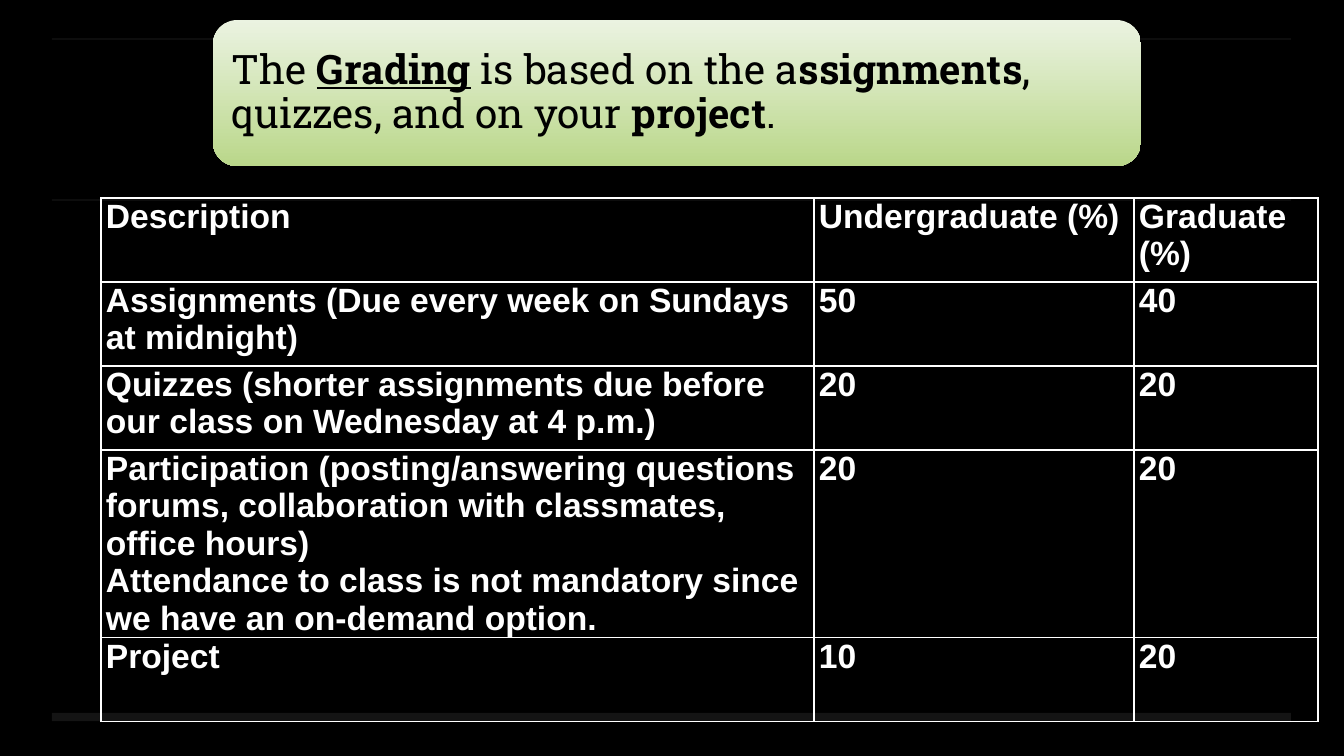
from lxml import etree
from pptx import Presentation
from pptx.dml.color import RGBColor
from pptx.enum.shapes import MSO_CONNECTOR, MSO_SHAPE
from pptx.enum.text import MSO_ANCHOR, MSO_AUTO_SIZE, PP_ALIGN
from pptx.oxml.ns import qn
from pptx.util import Pt

LINE = MSO_CONNECTOR.STRAIGHT
ROUND = MSO_SHAPE.ROUNDED_RECTANGLE
MIDDLE = MSO_ANCHOR.MIDDLE
TOP = MSO_ANCHOR.TOP
FIXED = MSO_AUTO_SIZE.NONE
LEFT = PP_ALIGN.LEFT

BLACK = RGBColor(0x00, 0x00, 0x00)
WHITE = RGBColor(0xFF, 0xFF, 0xFF)
GRAY = RGBColor(0x44, 0x44, 0x44)
PALE = RGBColor(0xEB, 0xF3, 0xE1)
GREEN = RGBColor(0xBA, 0xD7, 0x8A)

TITLE = [
    ("The ", False, False),
    ("Grading", True, True),
    (" is based on the a", False, False),
    ("ssignments", True, False),
    (", quizzes, and on your ", False, False),
    ("project", True, False),
    (".", False, False),
]
GRADES = [
    (["Description"], ["Undergraduate (%)"], ["Graduate (%)"]),
    (["Assignments (Due every week on Sundays at midnight)"], ["50"], ["40"]),
    (["Quizzes (shorter assignments due before our class on Wednesday at 4 p.m.)"],
     ["20"], ["20"]),
    (["Participation (posting/answering questions forums, collaboration with "
      "classmates, office hours)",
      "Attendance to class is not mandatory since we have an on-demand option."],
     ["20"], ["20"]),
    (["Project"], ["10"], ["20"]),
]
RULES = [(200, 1), (717, 6), (39, 1)]
COLS = [713, 320, 184]
ROWS = [84, 84, 84, 188, 84]
CARD = (213, 20, 928, 146)
PAD = 7


def px(n):
    return round(n * 914400 / 100.8)


def box(*sides):
    return [px(n) for n in sides]


def add_run(para, text, font, size, color, bold, under=False):
    run = para.add_run()
    run.text = text
    run.font.name = font
    run.font.size = Pt(size)
    run.font.color.rgb = color
    run.font.bold = bold
    run.font.underline = under


def add_rule(slide, y, width):
    rule = slide.shapes.add_connector(LINE, *box(52, y, 1291, y))
    rule.line.color.rgb = GRAY
    rule.line.width = Pt(width)
    tint = next(rule.element.iter(qn("a:srgbClr")))
    etree.SubElement(tint, qn("a:alpha"), val="30000")
    etree.SubElement(rule.element.spPr, qn("a:effectLst"))


def add_edges(cell):
    props = cell._tc.get_or_add_tcPr()
    for spot, side in enumerate(("lnL", "lnR", "lnT", "lnB")):
        edge = etree.Element(qn("a:" + side), w=str(Pt(1)))
        fill = etree.SubElement(edge, qn("a:solidFill"))
        etree.SubElement(fill, qn("a:srgbClr"), val=str(WHITE))
        props.insert(spot, edge)


def fill_cell(cell, lines):
    cell.fill.background()
    add_edges(cell)
    cell.margin_left = cell.margin_right = px(5)
    cell.margin_top = cell.margin_bottom = 0
    cell.vertical_anchor = TOP
    frame = cell.text_frame
    for i, text in enumerate(lines):
        para = frame.add_paragraph() if i else frame.paragraphs[0]
        add_run(para, text, "Arial", 24, WHITE, True)


def add_grades(slide):
    frame = slide.shapes.add_table(
        len(ROWS), len(COLS), *box(101, 198, sum(COLS), sum(ROWS)))
    table = frame.table
    table.first_row = table.horz_banding = False
    for col, width in zip(table.columns, COLS):
        col.width = px(width)
    for row, height, data in zip(table.rows, ROWS, GRADES):
        row.height = px(height)
        for cell, lines in zip(row.cells, data):
            fill_cell(cell, lines)


def add_card(slide):
    card = slide.shapes.add_shape(ROUND, *box(*CARD))
    card.shadow.inherit = False
    card.line.fill.background()
    card.fill.gradient()
    card.fill.gradient_angle = 270
    for stop, spot, color in zip(card.fill.gradient_stops, (0, 1), (PALE, GREEN)):
        stop.position = spot
        stop.color.rgb = color
    return card


def set_title(slide, card):
    title = slide.shapes.title
    card.element.addnext(title.element)
    x, y, w, h = CARD
    title.left, title.top, title.width, title.height = box(
        x + PAD, y + PAD, w - 2 * PAD, h - 2 * PAD)
    frame = title.text_frame
    frame.word_wrap = True
    frame.auto_size = FIXED
    frame.vertical_anchor = MIDDLE
    frame.margin_left = frame.margin_right = px(12)
    frame.margin_top = frame.margin_bottom = px(12)
    para = frame.paragraphs[0]
    para.alignment = LEFT
    para.line_spacing = 0.9
    for text, bold, under in TITLE:
        add_run(para, text, "Roboto Slab", 29, BLACK, bold, under)


def main():
    deck = Presentation()
    deck.slide_width, deck.slide_height = box(1344, 756)
    slide = deck.slides.add_slide(deck.slide_layouts[5])
    back = slide.background.fill
    back.solid()
    back.fore_color.rgb = BLACK
    for y, width in RULES:
        add_rule(slide, y, width)
    add_grades(slide)
    set_title(slide, add_card(slide))
    deck.save("out.pptx")


if __name__ == "__main__":
    main()
